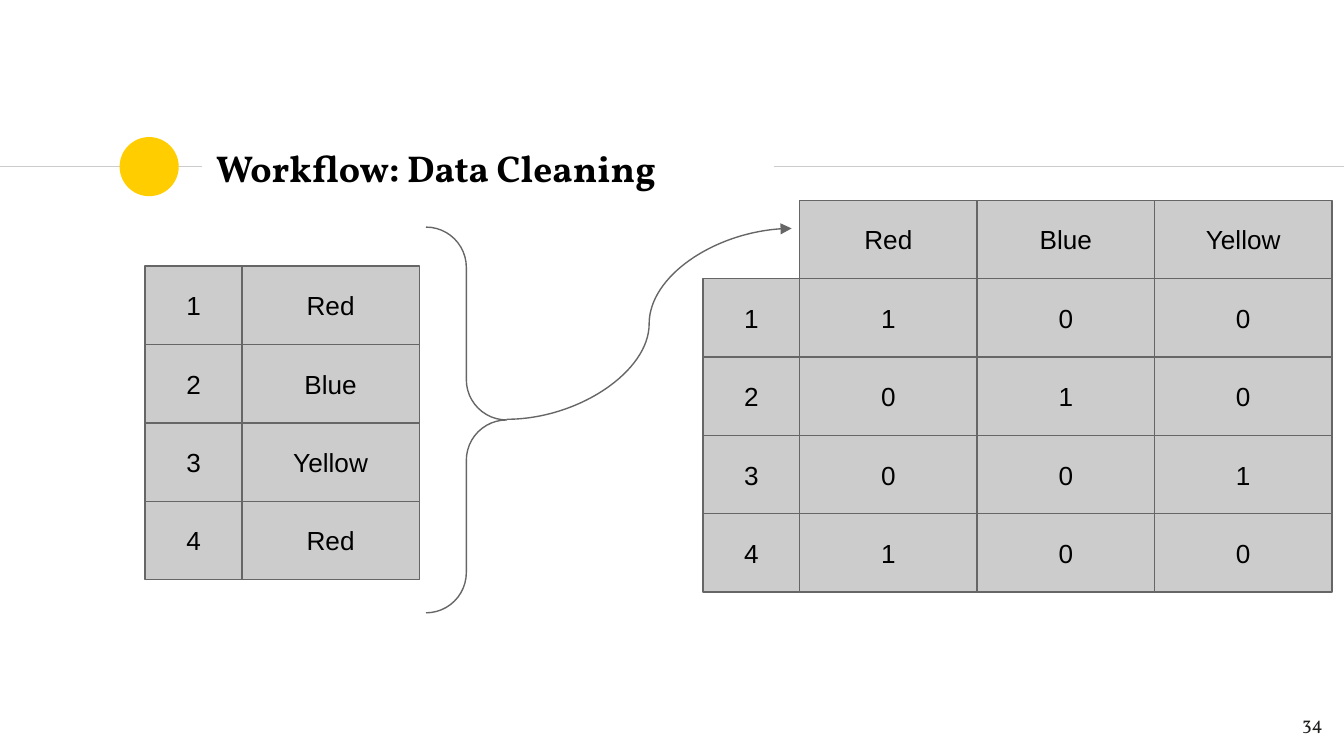
from dataclasses import dataclass

from lxml.etree import SubElement
from pptx import Presentation
from pptx.dml.color import RGBColor
from pptx.enum.shapes import MSO_CONNECTOR, MSO_SHAPE
from pptx.enum.text import MSO_ANCHOR, PP_ALIGN
from pptx.oxml.ns import qn
from pptx.shapes.connector import Connector
from pptx.slide import Slide
from pptx.text.text import TextFrame
from pptx.util import Inches, Pt

BLACK = RGBColor(0x00, 0x00, 0x00)
INK = RGBColor(0x1D, 0x1D, 0x1B)
GRAY = RGBColor(0x66, 0x66, 0x66)
LIGHT_GRAY = RGBColor(0xCC, 0xCC, 0xCC)
YELLOW = RGBColor(0xFF, 0xCD, 0x00)

SLIDE_WIDTH = 10
SLIDE_HEIGHT = SLIDE_WIDTH * 9 / 16
KEY_WIDTH = 0.72
VALUE_WIDTH = 1.32
ROW_HEIGHT = 1.75 / 3
RULE_Y = 1.24


@dataclass(frozen=True)
class Grid:
    left: float
    top: float
    rows: tuple[tuple[str, ...], ...]


@dataclass(frozen=True)
class Label:
    text: str
    left: float
    top: float
    width: float
    height: float
    size: int
    color: RGBColor
    bold: bool
    align: PP_ALIGN
    anchor: MSO_ANCHOR


COLOR_LIST = Grid(1.08, 1.98, (
    ("1", "Red"),
    ("2", "Blue"),
    ("3", "Yellow"),
    ("4", "Red"),
))
ONE_HOT = Grid(5.23, 1.49, (
    ("", "Red", "Blue", "Yellow"),
    ("1", "1", "0", "0"),
    ("2", "0", "1", "0"),
    ("3", "0", "0", "1"),
    ("4", "1", "0", "0"),
))
LABELS = (
    Label("Workflow: Data Cleaning", 1.51, 1.01, 4.24, 0.48, 20, BLACK, True,
          PP_ALIGN.LEFT, MSO_ANCHOR.MIDDLE),
    Label("34", 9.34, 5.21, 0.6, 0.41, 10, INK, False,
          PP_ALIGN.RIGHT, MSO_ANCHOR.TOP),
)


def write(frame: TextFrame, text: str, font_name: str, size: int, color: RGBColor,
          align: PP_ALIGN, anchor: MSO_ANCHOR, bold: bool = False) -> None:
    frame.text = text
    frame.word_wrap = True
    frame.vertical_anchor = anchor
    frame.margin_left = frame.margin_right = Inches(0.1)
    frame.margin_top = frame.margin_bottom = Inches(0.1)
    paragraph = frame.paragraphs[0]
    paragraph.alignment = align
    font = paragraph.runs[0].font
    font.name = font_name
    font.size = Pt(size)
    font.bold = bold
    font.color.rgb = color


def draw_label(slide: Slide, label: Label) -> None:
    box = slide.shapes.add_textbox(Inches(label.left), Inches(label.top),
                                   Inches(label.width), Inches(label.height))
    write(box.text_frame, label.text, "Vollkorn", label.size, label.color,
          label.align, label.anchor, label.bold)


def draw_cell(slide: Slide, text: str, left: float, top: float, width: float) -> None:
    cell = slide.shapes.add_shape(MSO_SHAPE.RECTANGLE, Inches(left), Inches(top),
                                  Inches(width), Inches(ROW_HEIGHT))
    cell.shadow.inherit = False
    cell.fill.solid()
    cell.fill.fore_color.rgb = LIGHT_GRAY
    cell.line.color.rgb = GRAY
    cell.line.width = Pt(0.75)
    write(cell.text_frame, text, "Arial", 14, BLACK, PP_ALIGN.CENTER, MSO_ANCHOR.MIDDLE)


def draw_grid(slide: Slide, grid: Grid) -> None:
    for row, values in enumerate(grid.rows):
        top = grid.top + row * ROW_HEIGHT
        left = grid.left
        for column, text in enumerate(values):
            width = VALUE_WIDTH if column else KEY_WIDTH
            if text:
                draw_cell(slide, text, left, top, width)
            left += width


def draw_connector(slide: Slide, kind: MSO_CONNECTOR, start: tuple[float, float],
                   end: tuple[float, float], color: RGBColor) -> Connector:
    connector = slide.shapes.add_connector(kind, Inches(start[0]), Inches(start[1]),
                                           Inches(end[0]), Inches(end[1]))
    connector.line.color.rgb = color
    connector.line.width = Pt(0.75)
    SubElement(connector._element.spPr, qn("a:effectLst"))
    return connector


def draw_heading_marks(slide: Slide) -> None:
    for start, end in ((0, 1.5), (5.76, SLIDE_WIDTH)):
        draw_connector(slide, MSO_CONNECTOR.STRAIGHT, (start, RULE_Y), (end, RULE_Y),
                       LIGHT_GRAY)
    dot = slide.shapes.add_shape(MSO_SHAPE.OVAL, Inches(0.89), Inches(1.02),
                                 Inches(0.44), Inches(0.44))
    dot.shadow.inherit = False
    dot.fill.solid()
    dot.fill.fore_color.rgb = YELLOW
    dot.line.fill.background()


def draw_transformation(slide: Slide) -> None:
    brace = slide.shapes.add_shape(MSO_SHAPE.RIGHT_BRACE, Inches(3.17), Inches(1.69),
                                   Inches(0.6), Inches(2.87))
    brace.shadow.inherit = False
    brace.adjustments[0] = 0.5
    brace.adjustments[1] = 0.5
    brace.fill.background()
    brace.line.color.rgb = GRAY
    brace.line.width = Pt(0.75)
    arrow = draw_connector(slide, MSO_CONNECTOR.CURVE, (3.77, 3.12), (5.89, 1.7), GRAY)
    SubElement(arrow.line._get_or_add_ln(), qn("a:tailEnd"), type="triangle")


def main() -> None:
    presentation = Presentation()
    presentation.slide_width = Inches(SLIDE_WIDTH)
    presentation.slide_height = Inches(SLIDE_HEIGHT)
    slide = presentation.slides.add_slide(presentation.slide_layouts[6])
    draw_heading_marks(slide)
    for label in LABELS:
        draw_label(slide, label)
    draw_grid(slide, COLOR_LIST)
    draw_transformation(slide)
    draw_grid(slide, ONE_HOT)
    presentation.save("out.pptx")


if __name__ == "__main__":
    main()
